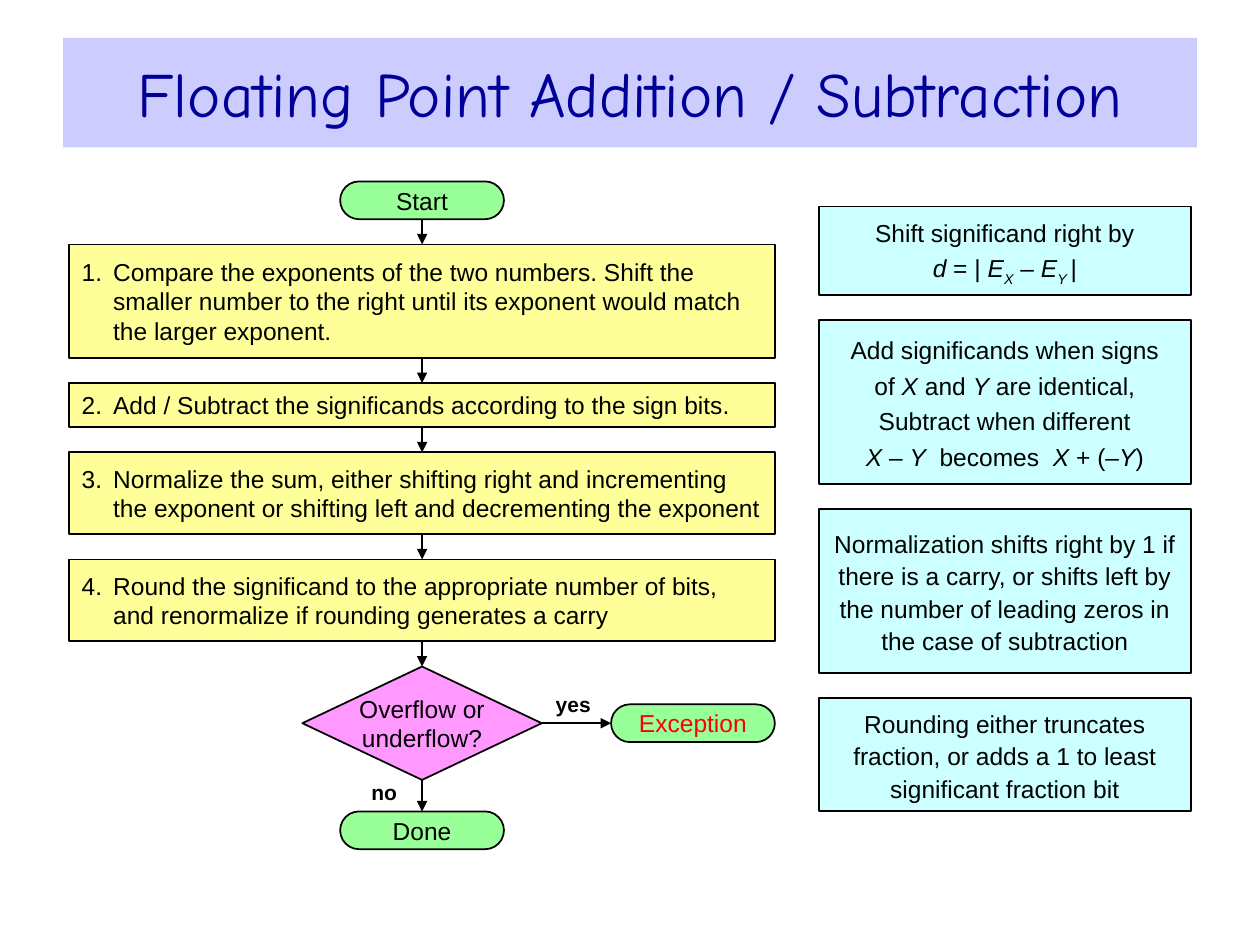
from pptx import Presentation
from pptx.dml.color import RGBColor
from pptx.enum.shapes import MSO_CONNECTOR, MSO_SHAPE
from pptx.enum.text import MSO_ANCHOR as ANCHOR, PP_ALIGN as ALIGN
from pptx.oxml.ns import qn
from pptx.util import Pt
from lxml.etree import SubElement

TITLE = "Floating Point Addition / Subtraction"
STEPS = [  # text, height
    ("Compare the exponents of the two numbers. Shift the smaller number to the "
     "right until its exponent would match the larger exponent.", 64.8),
    ("Add / Subtract the significands according to the sign bits.", 25.2),
    ("Normalize the sum, either shifting right and incrementing the exponent or "
     "shifting left and decrementing the exponent", 46.8),
    ("Round the significand to the appropriate number of bits, and renormalize "
     "if rounding generates a carry", 46.8),
]
# Each paragraph is a string or a list of runs: plain string or (text, style)
X, Y = ("X", "italic"), ("Y", "italic")
E = ("E", "italic")
NOTES = [  # paragraphs, height
    (["Shift significand right by",
      [("d", "italic"), " = | ", E, ("X", "sub"), " – ", E, ("Y ", "sub"), "|"]], 50.4),
    (["Add significands when signs",
      ["of ", X, " and ", Y, " are identical,"],
      "Subtract when different",
      [X, " – ", Y, "  becomes  ", X, " + (–", Y, ")"]], 93.6),
    (["Normalization shifts right by 1 if there is a carry, or shifts left by "
      "the number of leading zeros in the case of subtraction"], 93.6),
    (["Rounding either truncates fraction, or adds a 1 to least significant "
      "fraction bit"], 64.8),
]

GAP = 14.4
STEP_X, STEP_W = 39.6, 403.2
AXIS = STEP_X + STEP_W / 2
FLOW_TOP = 103.68
PILL_W, PILL_H = 93.6, 21.6
DIAMOND_W, DIAMOND_H = 136.8, 64.8
DONE_GAP = 18
NOTE_X, NOTE_W, NOTE_TOP = 468, 212.4, 118.08
LABEL_W, LABEL_H = 36, 14.4
TOP, LEFT, BOTTOM, RIGHT = range(4)  # connection sites

prs = Presentation()
prs.slide_width, prs.slide_height = Pt(720), Pt(540)
s = prs.slides.add_slide(prs.slide_layouts[5])


def rgb(hex_color):
    return RGBColor.from_string(hex_color)


def set_font(p, size=14, color="000000", name="Arial", bold=False):
    p.font.size, p.font.name, p.font.bold = Pt(size), name, bold
    p.font.color.rgb = rgb(color)


def set_frame(tf, inset_x, inset_y, anchor=ANCHOR.MIDDLE, wrap=True):
    tf.margin_left = tf.margin_right = Pt(inset_x)
    tf.margin_top = tf.margin_bottom = Pt(inset_y)
    tf.vertical_anchor, tf.word_wrap = anchor, wrap


def add_box(kind, x, y, w, h, fill):
    sp = s.shapes.add_shape(kind, Pt(x), Pt(y), Pt(w), Pt(h))
    sp.shadow.inherit = False
    sp.fill.solid()
    sp.fill.fore_color.rgb = rgb(fill)
    sp.line.color.rgb = rgb("000000")
    sp.line.width = Pt(1)
    return sp


def add_node(kind, x, y, w, h, fill, lines, color="000000"):
    """Add a flowchart symbol with unwrapped, centred lines."""
    sp = add_box(kind, x, y, w, h, fill)
    tf = sp.text_frame
    set_frame(tf, 0, 0, wrap=False)
    for i, line in enumerate(lines):
        p = tf.add_paragraph() if i else tf.paragraphs[0]
        p.text, p.alignment = line, ALIGN.CENTER
        set_font(p, color=color)
    return sp


def add_pill(x, y, text, color="000000"):
    sp = add_node(MSO_SHAPE.ROUNDED_RECTANGLE, x, y, PILL_W, PILL_H, "99FF99",
                  [text], color)
    sp.adjustments[0] = 0.5
    return sp


def add_step(number, text, y, h):
    sp = add_box(MSO_SHAPE.RECTANGLE, STEP_X, y, STEP_W, h, "FFFF99")
    set_frame(sp.text_frame, 7.2, 0)
    p = sp.text_frame.paragraphs[0]
    p.text, p.alignment = f"{number}.\t{text}", ALIGN.LEFT
    pPr = p._p.get_or_add_pPr()
    pPr.set("marL", str(Pt(18)))
    pPr.set("indent", str(-Pt(18)))
    set_font(p)
    return sp


def add_note(paragraphs, y, h):
    sp = add_box(MSO_SHAPE.RECTANGLE, NOTE_X, y, NOTE_W, h, "CCFFFF")
    tf = sp.text_frame
    set_frame(tf, 7.2, 3.6)
    for i, runs in enumerate(paragraphs):
        p = tf.add_paragraph() if i else tf.paragraphs[0]
        p.alignment, p.line_spacing = ALIGN.CENTER, 1.1
        if i:
            p.space_before = Pt(1.8)
        set_font(p)
        for run in [runs] if isinstance(runs, str) else runs:
            text, style = (run, "") if isinstance(run, str) else run
            r = p.add_run()
            r.text = text
            if style:
                r.font.italic = True
            if style == "sub":
                r.font._element.set("baseline", "-25000")


def add_arrow(start, start_site, end, end_site):
    c = s.shapes.add_connector(MSO_CONNECTOR.STRAIGHT, 0, 0, 0, 0)
    c.begin_connect(start, start_site)
    c.end_connect(end, end_site)
    c.line.color.rgb = rgb("000000")
    c.line.width = Pt(1)
    spPr = c.element.spPr
    SubElement(spPr.find(qn("a:ln")), qn("a:tailEnd"), type="triangle")
    SubElement(spPr, qn("a:effectLst"))


def add_label(text, x, y):
    tf = s.shapes.add_textbox(Pt(x), Pt(y), Pt(LABEL_W), Pt(LABEL_H)).text_frame
    set_frame(tf, 0, 0, ANCHOR.BOTTOM)
    p = tf.paragraphs[0]
    p.text, p.alignment = text, ALIGN.CENTER
    set_font(p, 12, bold=True)


title = s.shapes.title
title.left, title.top, title.width, title.height = Pt(36), Pt(21.6), Pt(648), Pt(62.64)
title.fill.solid()
title.fill.fore_color.rgb = rgb("CCCCFF")
title.text_frame.vertical_anchor = ANCHOR.MIDDLE
p = title.text_frame.paragraphs[0]
p.text, p.alignment = TITLE, ALIGN.CENTER
set_font(p, 36, "000099", "Comic Neue")

pill_x = AXIS - PILL_W / 2
flow = [add_pill(pill_x, FLOW_TOP, "Start")]
y = FLOW_TOP + PILL_H + GAP
for number, (text, h) in enumerate(STEPS, 1):
    flow.append(add_step(number, text, y, h))
    y += h + GAP
decision = add_node(MSO_SHAPE.DIAMOND, AXIS - DIAMOND_W / 2, y, DIAMOND_W, DIAMOND_H,
                    "FF99FF", ["Overflow or", "underflow?"])
middle, bottom = y + DIAMOND_H / 2, y + DIAMOND_H
flow += [decision, add_pill(pill_x, bottom + DONE_GAP, "Done")]
for upper, lower in zip(flow, flow[1:]):
    add_arrow(upper, BOTTOM, lower, TOP)

exception = add_pill(STEP_X + STEP_W - PILL_W, middle - PILL_H / 2, "Exception", "FF0000")
add_arrow(decision, RIGHT, exception, LEFT)
add_label("yes", AXIS + DIAMOND_W / 2, middle - 18)
add_label("no", AXIS - LABEL_W - 3.6, bottom)

y = NOTE_TOP
for paragraphs, h in NOTES:
    add_note(paragraphs, y, h)
    y += h + GAP

prs.save("out.pptx")
